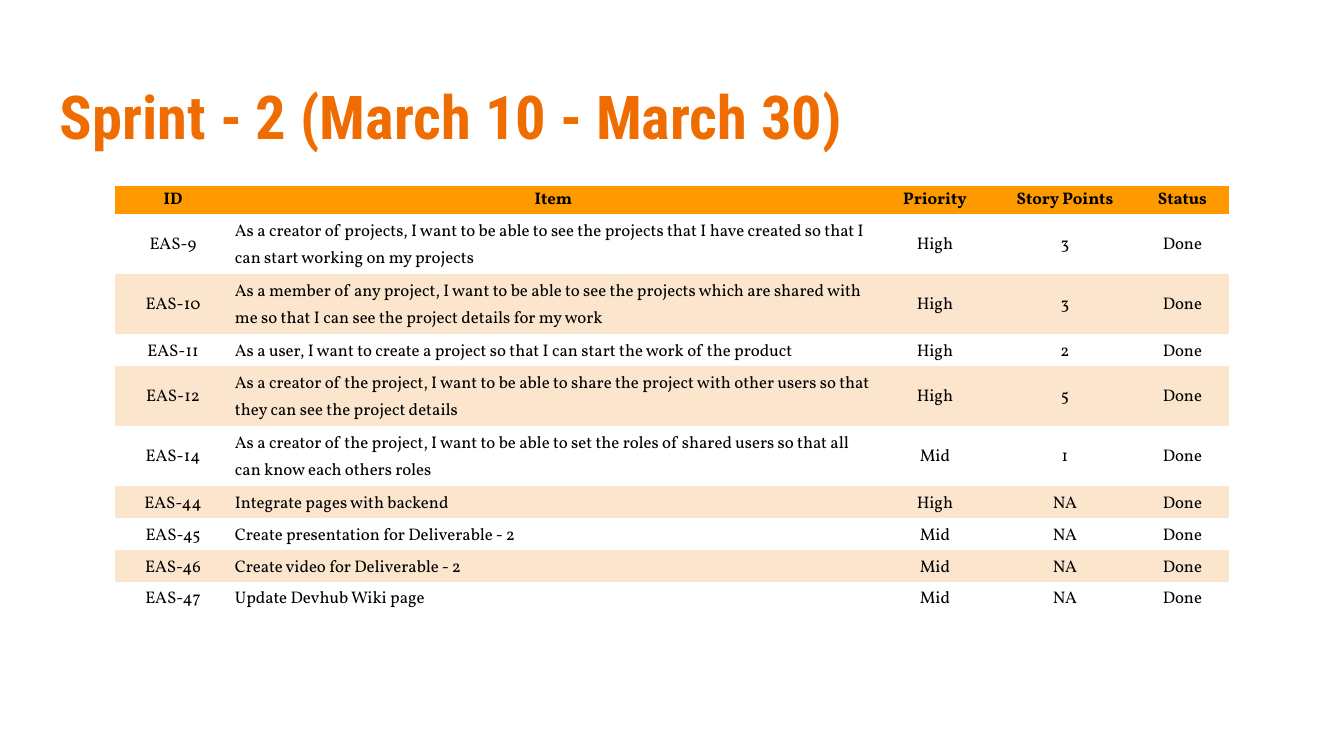
"""Build the Sprint 2 backlog slide with its title and story table."""
import dataclasses

import pptx
import pptx.dml.color
import pptx.enum.text
import pptx.oxml.ns
import pptx.slide
import pptx.table
import pptx.text.text
import pptx.util

EMU_PER_INCH = 914400
PX_PER_INCH = 134.4
COLORS = {
    "title": "EF6C00",
    "header": "FF9900",
    "band": "FCE5CD",
    "text": "000000",
}
TITLE_FONT = "Roboto Condensed"
TABLE_FONT = "Vollkorn"
PLAIN_TABLE_STYLE = "{2D5ABB26-0587-4C30-8999-92F81FD0307C}"
HEADER_HEIGHT = 28
ONE_LINE_HEIGHT = 32
TWO_LINE_HEIGHT = 60
LONGEST_LINE = 90
ALIGN = pptx.enum.text.PP_ALIGN


@dataclasses.dataclass(frozen=True)
class Column:
    heading: str
    width: int
    align: ALIGN = ALIGN.CENTER


@dataclasses.dataclass(frozen=True)
class Story:
    id: str
    item: str
    priority: str
    points: str
    status: str = "Done"


COLUMNS = [
    Column("ID", 116),
    Column("Item", 645, ALIGN.LEFT),
    Column("Priority", 118),
    Column("Story Points", 142),
    Column("Status", 93),
]
STORIES = [
    Story("EAS-9", "As a creator of projects, I want to be able to see the projects "
          "that I have created so that I can start working on my projects", "High", "3"),
    Story("EAS-10", "As a member of any project, I want to be able to see the projects "
          "which are shared with me so that I can see the project details for my work",
          "High", "3"),
    Story("EAS-11", "As a user, I want to create a project so that I can start the work "
          "of the product", "High", "2"),
    Story("EAS-12", "As a creator of the project, I want to be able to share the project "
          "with other users so that they can see the project details", "High", "5"),
    Story("EAS-14", "As a creator of the project, I want to be able to set the roles of "
          "shared users so that all can know each others roles", "Mid", "1"),
    Story("EAS-44", "Integrate pages with backend", "High", "NA"),
    Story("EAS-45", "Create presentation for Deliverable - 2", "Mid", "NA"),
    Story("EAS-46", "Create video for Deliverable - 2", "Mid", "NA"),
    Story("EAS-47", "Update Devhub Wiki page", "Mid", "NA"),
]


def px(length: int) -> pptx.util.Emu:
    """Turn pixels into EMU."""
    return pptx.util.Emu(round(length * EMU_PER_INCH / PX_PER_INCH))


def rgb(name: str) -> pptx.dml.color.RGBColor:
    """Look up a named colour."""
    return pptx.dml.color.RGBColor.from_string(COLORS[name])


def add_run(paragraph: pptx.text.text._Paragraph, text: str, font: str,
            size: float, color: str, bold: bool) -> None:
    """Append one formatted run to a paragraph."""
    run = paragraph.add_run()
    run.text = text
    run.font.name = font
    run.font.size = pptx.util.Pt(size)
    run.font.bold = bold
    run.font.color.rgb = rgb(color)


def add_title(slide: pptx.slide.Slide, text: str) -> None:
    """Place the slide title."""
    shape = slide.shapes.add_textbox(px(46), px(66), px(1253), px(87))
    frame = shape.text_frame
    frame.word_wrap = True
    frame.margin_left = frame.margin_right = px(14)
    frame.margin_top = frame.margin_bottom = px(13)
    add_run(frame.paragraphs[0], text, TITLE_FONT, 32.4, "title", True)


def fill_cell(cell: pptx.table._Cell, text: str, align: ALIGN,
              fill: str | None, header: bool) -> None:
    """Write and format one table cell."""
    cell.margin_left = cell.margin_right = px(4)
    cell.margin_top = cell.margin_bottom = px(3)
    cell.vertical_anchor = pptx.enum.text.MSO_ANCHOR.MIDDLE
    if fill:
        cell.fill.solid()
        cell.fill.fore_color.rgb = rgb(fill)
    else:
        cell.fill.background()
    paragraph = cell.text_frame.paragraphs[0]
    paragraph.alignment = align
    if not header:
        paragraph.line_spacing = 1.15
    add_run(paragraph, text, TABLE_FONT, 9, "text", header)


def add_story_table(slide: pptx.slide.Slide, columns: list[Column],
                    stories: list[Story]) -> None:
    """Place the story table with a header and alternating bands."""
    heights = [HEADER_HEIGHT] + [
        TWO_LINE_HEIGHT if len(story.item) > LONGEST_LINE else ONE_LINE_HEIGHT
        for story in stories
    ]
    width = sum(column.width for column in columns)
    shape = slide.shapes.add_table(len(heights), len(columns), px(115), px(186),
                                   px(width), px(sum(heights)))
    style = shape.element.find(".//" + pptx.oxml.ns.qn("a:tableStyleId"))
    style.text = PLAIN_TABLE_STYLE
    table = shape.table
    table.horz_banding = False
    for row, height in zip(table.rows, heights):
        row.height = px(height)
    for index, column in enumerate(columns):
        table.columns[index].width = px(column.width)
        fill_cell(table.cell(0, index), column.heading, ALIGN.CENTER, "header", True)
    for row_index, story in enumerate(stories, start=1):
        fill = "band" if row_index % 2 == 0 else None
        for index, text in enumerate(dataclasses.astuple(story)):
            fill_cell(table.cell(row_index, index), text, columns[index].align, fill, False)


def main() -> None:
    """Build and save the presentation."""
    presentation = pptx.Presentation()
    presentation.slide_width = px(1344)
    presentation.slide_height = px(756)
    slide = presentation.slides.add_slide(presentation.slide_layouts[6])
    add_title(slide, "Sprint - 2 (March 10 - March 30)")
    add_story_table(slide, COLUMNS, STORIES)
    presentation.save("out.pptx")


if __name__ == "__main__":
    main()
